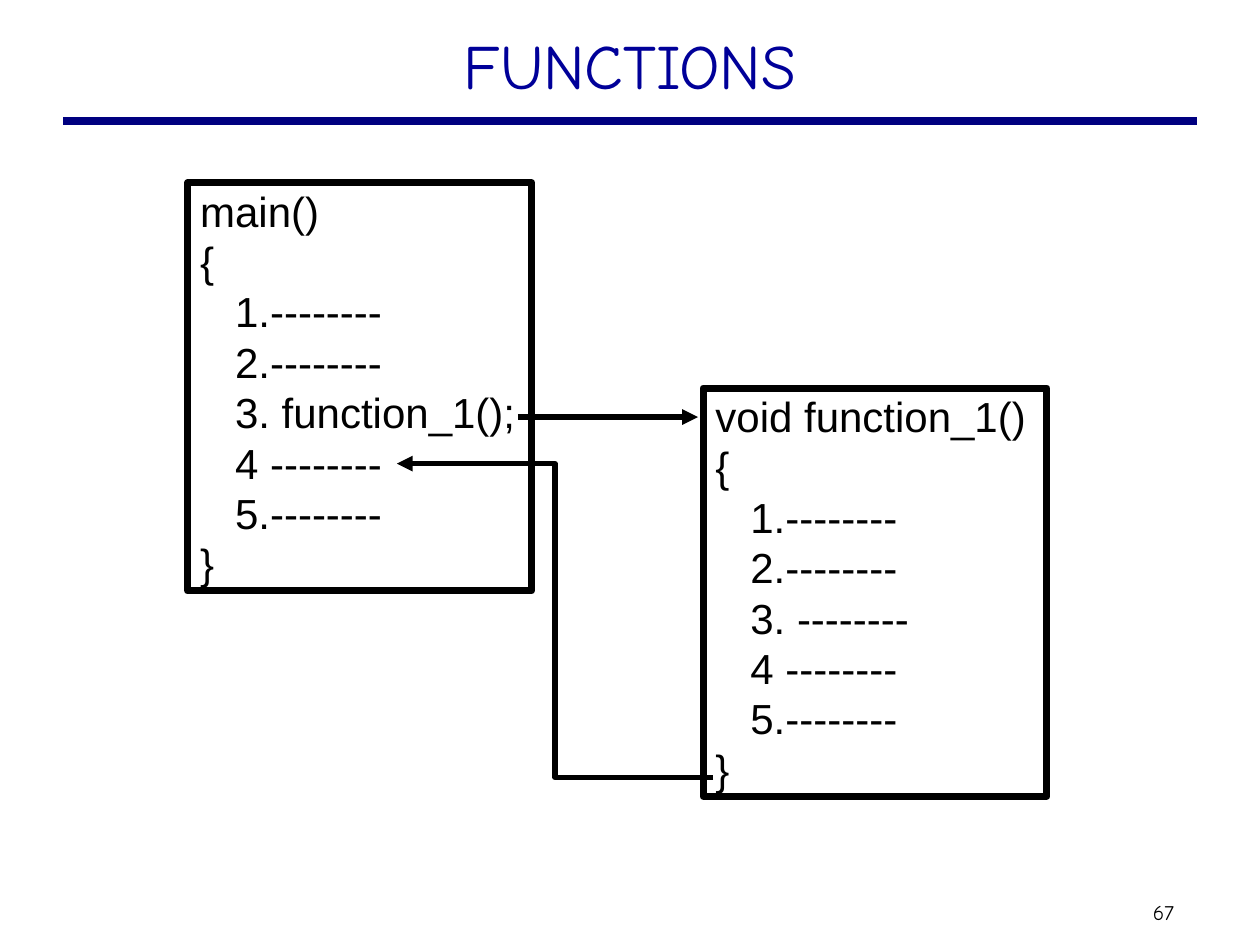
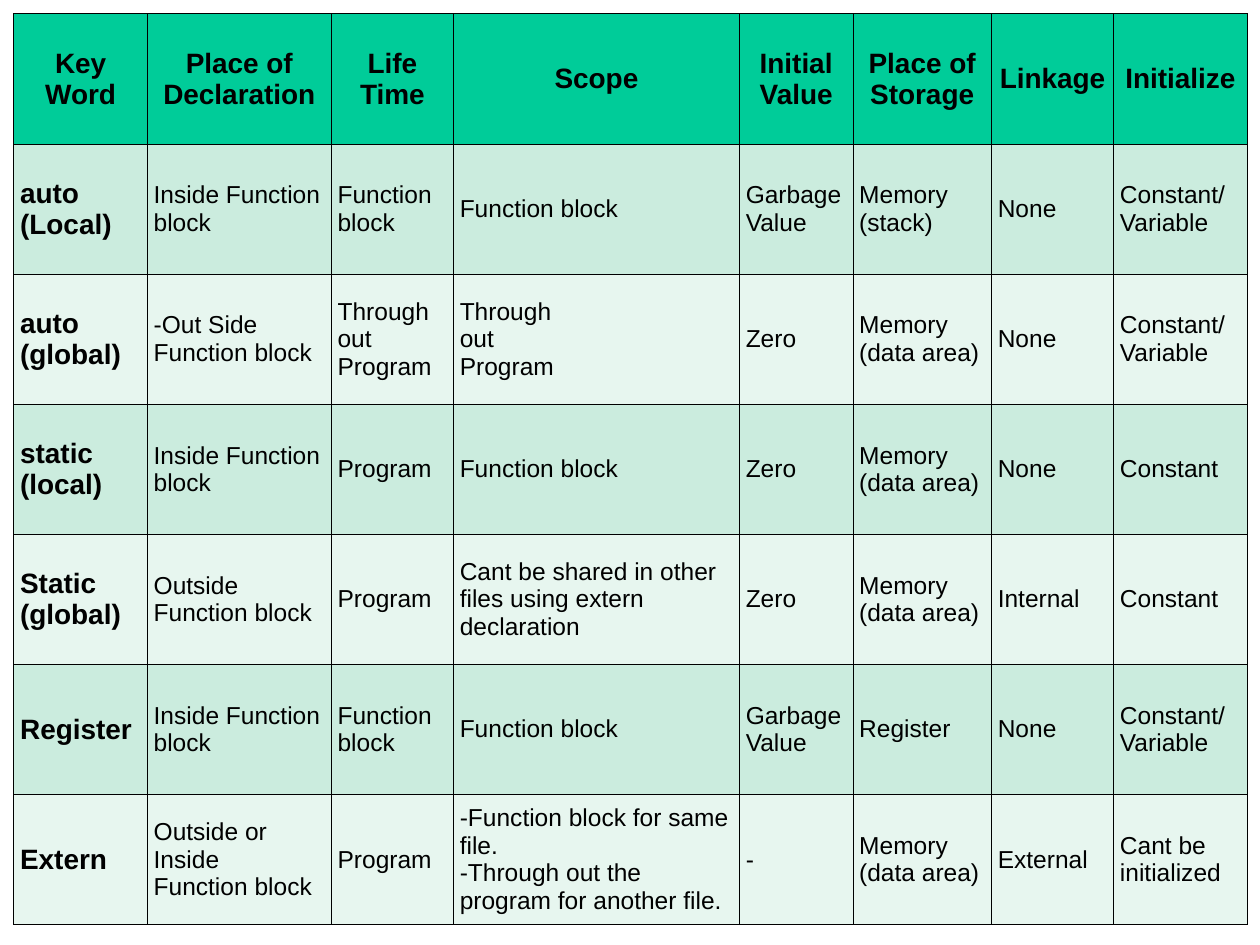
from lxml import etree
from pptx import Presentation
from pptx.dml.color import RGBColor
from pptx.enum.shapes import MSO_CONNECTOR, MSO_SHAPE
from pptx.enum.text import MSO_ANCHOR, MSO_AUTO_SIZE, PP_ALIGN
from pptx.oxml.ns import qn
from pptx.util import Inches, Pt

RECTANGLE = MSO_SHAPE.RECTANGLE
STRAIGHT, ELBOW = MSO_CONNECTOR.STRAIGHT, MSO_CONNECTOR.ELBOW
TOP, MIDDLE = MSO_ANCHOR.TOP, MSO_ANCHOR.MIDDLE
LEFT, CENTER = PP_ALIGN.LEFT, PP_ALIGN.CENTER
TITLE_ONLY, BLANK = 5, 6

BLACK = RGBColor(0x00, 0x00, 0x00)
NAVY = RGBColor(0x00, 0x00, 0x80)
TITLE_BLUE = RGBColor(0x00, 0x00, 0x99)
HEADER_GREEN = RGBColor(0x00, 0xCC, 0x99)
BAND_GREENS = RGBColor(0xCB, 0xEC, 0xDE), RGBColor(0xE7, 0xF6, 0xEF)
BODY_FONT, TITLE_FONT = "Arial", "Comic Neue"

# Content: code listings as (left, top, text)
TITLE = "FUNCTIONS"
PAGE_NUMBER = "67"
LISTINGS = [
    (1.49, 1.45, """main()
{
   1.--------
   2.--------
   3. function_1();
   4 --------
   5.--------
}"""),
    (5.58, 3.08, """void function_1()
{
   1.--------
   2.--------
   3. --------
   4 --------
   5.--------
}"""),
]
CALL_ARROW = (4.11, 3.31), (5.54, 3.31)
RETURN_ARROW = (5.66, 6.17), (3.15, 3.68)

# Content: storage classes
HEADERS = ["Key Word", "Place of Declaration", "Life Time", "Scope",
           "Initial Value", "Place of Storage", "Linkage", "Initialize"]
STORAGE_CLASSES = [
    ["auto\n(Local)", "Inside Function block", "Function block", "Function block",
     "Garbage Value", "Memory (stack)", "None", "Constant/ Variable"],
    ["auto\n(global)", "-Out Side Function block", "Through out Program",
     "Through\nout\nProgram", "Zero", "Memory\n(data area)", "None",
     "Constant/ Variable"],
    ["static (local)", "Inside Function block", "Program", "Function block",
     "Zero", "Memory\n(data area)", "None", "Constant"],
    ["Static (global)", "Outside Function block", "Program",
     "Cant be shared in other files using extern declaration",
     "Zero", "Memory (data area)", "Internal", "Constant"],
    ["Register", "Inside Function block", "Function block", "Function block",
     "Garbage Value", "Register", "None", "Constant/ Variable"],
    ["Extern", "Outside or Inside\nFunction block", "Program",
     "-Function block for same file.\n-Through out the program for another file.",
     "-", "Memory (data area)", "External", "Cant be initialized"],
]
COLUMN_WIDTHS = [1.06, 1.46, 0.97, 2.27, 0.9, 1.1, 0.97, 1.06]
TABLE_LEFT, TABLE_TOP, TABLE_HEIGHT = 0.11, 0.11, 7.23


def write(frame, text, size, font=BODY_FONT, color=BLACK, bold=False,
          align=LEFT, spacing=None):
    """Fill a text frame, one paragraph for each line of text."""
    for index, line in enumerate(text.split("\n")):
        para = frame.add_paragraph() if index else frame.paragraphs[0]
        para.alignment = align
        para.line_spacing = spacing
        span = para.add_run()
        span.text = line
        span.font.name, span.font.size = font, Pt(size)
        span.font.bold, span.font.color.rgb = bold, color


def set_frame(frame, side=0.1, anchor=MIDDLE):
    frame.word_wrap = True
    frame.auto_size = MSO_AUTO_SIZE.NONE
    frame.vertical_anchor = anchor
    frame.margin_left = frame.margin_right = Inches(side)
    frame.margin_top = frame.margin_bottom = Inches(0.05)


def add_line(page, start, end, width, color=BLACK, kind=STRAIGHT, arrow=False):
    line = page.shapes.add_connector(kind, *map(Inches, start + end))
    line.line.color.rgb, line.line.width = color, Pt(width)
    if arrow:
        etree.SubElement(line.line._get_or_add_ln(), qn("a:tailEnd"), type="triangle")
    etree.SubElement(line._element.spPr, qn("a:effectLst"))


def add_listing(page, left, top, code):
    box = page.shapes.add_shape(RECTANGLE, *map(Inches, (left, top, 2.73, 3.24)))
    box.shadow.inherit = False
    box.fill.background()
    box.line.color.rgb, box.line.width = BLACK, Pt(4)
    set_frame(box.text_frame)
    write(box.text_frame, code, 24, spacing=Pt(28.8))


def add_borders(cell):
    properties = cell._tc.get_or_add_tcPr()
    for position, side in enumerate(("lnL", "lnR", "lnT", "lnB")):
        border = etree.Element(qn("a:" + side), w=str(Pt(0.45)))
        fill = etree.SubElement(border, qn("a:solidFill"))
        etree.SubElement(fill, qn("a:srgbClr"), val=str(BLACK))
        properties.insert(position, border)


def build_functions(deck):
    page = deck.slides.add_slide(deck.slide_layouts[TITLE_ONLY])
    # Title, rule and page number
    title = page.shapes.title
    title.left, title.top, title.width, title.height = map(Inches, (0.75, 0.16, 8.5, 0.76))
    set_frame(title.text_frame, anchor=TOP)
    write(title.text_frame, TITLE, 36, font=TITLE_FONT, color=TITLE_BLUE, align=CENTER)
    add_line(page, (0.5, 0.96), (9.5, 0.96), 4.5, color=NAVY)
    number = page.shapes.add_textbox(*map(Inches, (9.1, 7.09, 0.47, 0.3)))
    set_frame(number.text_frame, side=0.05)
    write(number.text_frame, PAGE_NUMBER, 12, font=TITLE_FONT)
    # Call and return between the listings
    for listing in LISTINGS:
        add_listing(page, *listing)
    add_line(page, *CALL_ARROW, 3, arrow=True)
    add_line(page, *RETURN_ARROW, 3, kind=ELBOW, arrow=True)


def build_storage_classes(deck):
    page = deck.slides.add_slide(deck.slide_layouts[BLANK])
    rows = [HEADERS] + STORAGE_CLASSES
    table = page.shapes.add_table(
        len(rows), len(HEADERS), Inches(TABLE_LEFT), Inches(TABLE_TOP),
        Inches(sum(COLUMN_WIDTHS)), Inches(TABLE_HEIGHT)).table
    table.horz_banding = False
    for column, width in zip(table.columns, COLUMN_WIDTHS):
        column.width = Inches(width)
    for row_index, texts in enumerate(rows):
        is_header = row_index == 0
        fill = HEADER_GREEN if is_header else BAND_GREENS[(row_index - 1) % 2]
        for column_index, text in enumerate(texts):
            cell = table.cell(row_index, column_index)
            cell.fill.solid()
            cell.fill.fore_color.rgb = fill
            cell.vertical_anchor = MIDDLE
            cell.margin_left = cell.margin_right = Inches(0.05)
            cell.margin_top = cell.margin_bottom = Inches(0.05)
            add_borders(cell)
            strong = is_header or column_index == 0
            write(cell.text_frame, text, 16 if strong else 14, bold=strong,
                  align=CENTER if is_header else LEFT)


def main():
    deck = Presentation()
    deck.slide_width, deck.slide_height = Inches(10), Inches(7.5)
    build_functions(deck)
    build_storage_classes(deck)
    deck.save("out.pptx")


if __name__ == "__main__":
    main()
